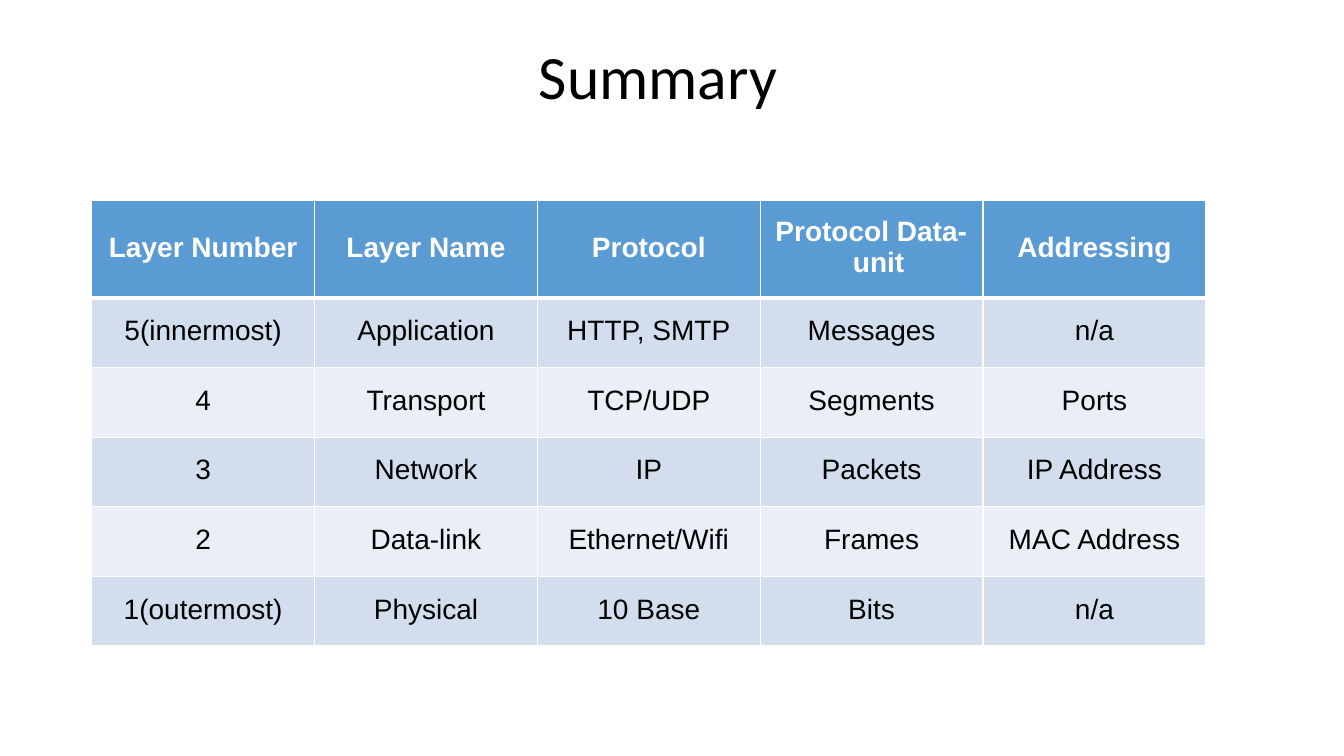
"""Builds the summary slide: a table of the five network layers."""
from dataclasses import dataclass

from lxml.etree import SubElement
from pptx import Presentation
from pptx.dml.color import RGBColor as Rgb
from pptx.enum.text import MSO_ANCHOR as Anchor, PP_ALIGN as Align
from pptx.oxml.ns import qn
from pptx.slide import Slide
from pptx.table import _Cell as Cell
from pptx.text.text import _Paragraph as Paragraph
from pptx.util import Inches, Pt

SLIDE_W, SLIDE_H = Inches(13.33), Inches(7.5)


@dataclass(frozen=True)
class Theme:
    title_font: str = "Calibri"
    table_font: str = "Arial"
    title_size: int = 44
    table_size: int = 20
    ink: str = "000000"
    paper: str = "FFFFFF"
    header: str = "5B9BD4"
    bands: tuple[str, str] = ("D2DEEE", "EAEEF7")
    rule: int = 1
    header_rule: int = 3


@dataclass(frozen=True)
class Layer:
    number: str
    name: str
    protocol: str
    data_unit: str
    addressing: str

    def entries(self) -> tuple[str, ...]:
        return self.number, self.name, self.protocol, self.data_unit, self.addressing


THEME = Theme()
HEADINGS = Layer("Layer Number", "Layer Name", "Protocol", "Protocol Data-unit", "Addressing")
LAYERS = (
    Layer("5(innermost)", "Application", "HTTP, SMTP", "Messages", "n/a"),
    Layer("4", "Transport", "TCP/UDP", "Segments", "Ports"),
    Layer("3", "Network", "IP", "Packets", "IP Address"),
    Layer("2", "Data-link", "Ethernet/Wifi", "Frames", "MAC Address"),
    Layer("1(outermost)", "Physical", "10 Base", "Bits", "n/a"),
)


def across(percent: float) -> int:
    return round(SLIDE_W * percent / 100)


def down(percent: float) -> int:
    return round(SLIDE_H * percent / 100)


def style(line: Paragraph, font: str, size: int, color: str, bold: bool = False) -> None:
    for run in line.runs:
        run.font.name, run.font.size, run.font.bold = font, Pt(size), bold
        run.font.color.rgb = Rgb.from_string(color)


def draw_borders(cell: Cell, top: int, bottom: int) -> None:
    properties = cell._tc.get_or_add_tcPr()
    widths = {"a:lnL": THEME.rule, "a:lnR": THEME.rule, "a:lnT": top, "a:lnB": bottom}
    for side, width in widths.items():
        border = SubElement(properties, qn(side), w=str(Pt(width)))
        SubElement(SubElement(border, qn("a:solidFill")), qn("a:srgbClr"), val=THEME.paper)


def hang(line: Paragraph, left: int, first: int) -> None:
    line.alignment = Align.LEFT
    properties = line._p.get_or_add_pPr()
    properties.set("marL", str(left))
    properties.set("indent", str(first - left))


def draw_cell(cell: Cell, entry: str, row: int) -> None:
    is_heading = row == 0
    cell.text_frame.text = entry
    cell.margin_left = cell.margin_right = cell.margin_top = 0
    cell.margin_bottom = down(0.5)
    cell.vertical_anchor = Anchor.MIDDLE
    line = cell.text_frame.paragraphs[0]
    line.alignment = Align.CENTER
    color = THEME.paper if is_heading else THEME.ink
    style(line, THEME.table_font, THEME.table_size, color, is_heading)
    if entry == HEADINGS.data_unit:
        hang(line, across(6.9), across(1.13))
    draw_borders(
        cell,
        top=THEME.header_rule if row == 1 else THEME.rule,
        bottom=THEME.header_rule if is_heading else THEME.rule,
    )
    cell.fill.solid()
    fill = THEME.header if is_heading else THEME.bands[(row - 1) % 2]
    cell.fill.fore_color.rgb = Rgb.from_string(fill)


def draw_title(slide: Slide, wording: str) -> None:
    title = slide.shapes.title
    title.left, title.top = across(40.1), down(4.8)
    title.width, title.height = across(19.9), down(10.1)
    frame = title.text_frame
    frame.text = wording
    frame.margin_left = frame.margin_right = frame.margin_top = frame.margin_bottom = 0
    frame.vertical_anchor = Anchor.MIDDLE
    frame.paragraphs[0].alignment = Align.LEFT
    style(frame.paragraphs[0], THEME.title_font, THEME.title_size, THEME.ink)


def draw_layers(slide: Slide, rows: tuple[Layer, ...]) -> None:
    column_w, heading_h, row_h = across(16.58), down(12.93), down(9.2)
    columns = len(HEADINGS.entries())
    table = slide.shapes.add_table(
        len(rows), columns, across(6.83), down(26.53),
        column_w * columns, heading_h + row_h * (len(rows) - 1),
    ).table
    for column in table.columns:
        column.width = column_w
    for row, layer in enumerate(rows):
        table.rows[row].height = row_h if row else heading_h
        for column, entry in enumerate(layer.entries()):
            draw_cell(table.cell(row, column), entry, row)


def main() -> None:
    deck = Presentation()
    deck.slide_width, deck.slide_height = SLIDE_W, SLIDE_H
    slide = deck.slides.add_slide(deck.slide_layouts.get_by_name("Title Only"))
    draw_title(slide, "Summary")
    draw_layers(slide, (HEADINGS, *LAYERS))
    deck.save("out.pptx")


if __name__ == "__main__":
    main()
